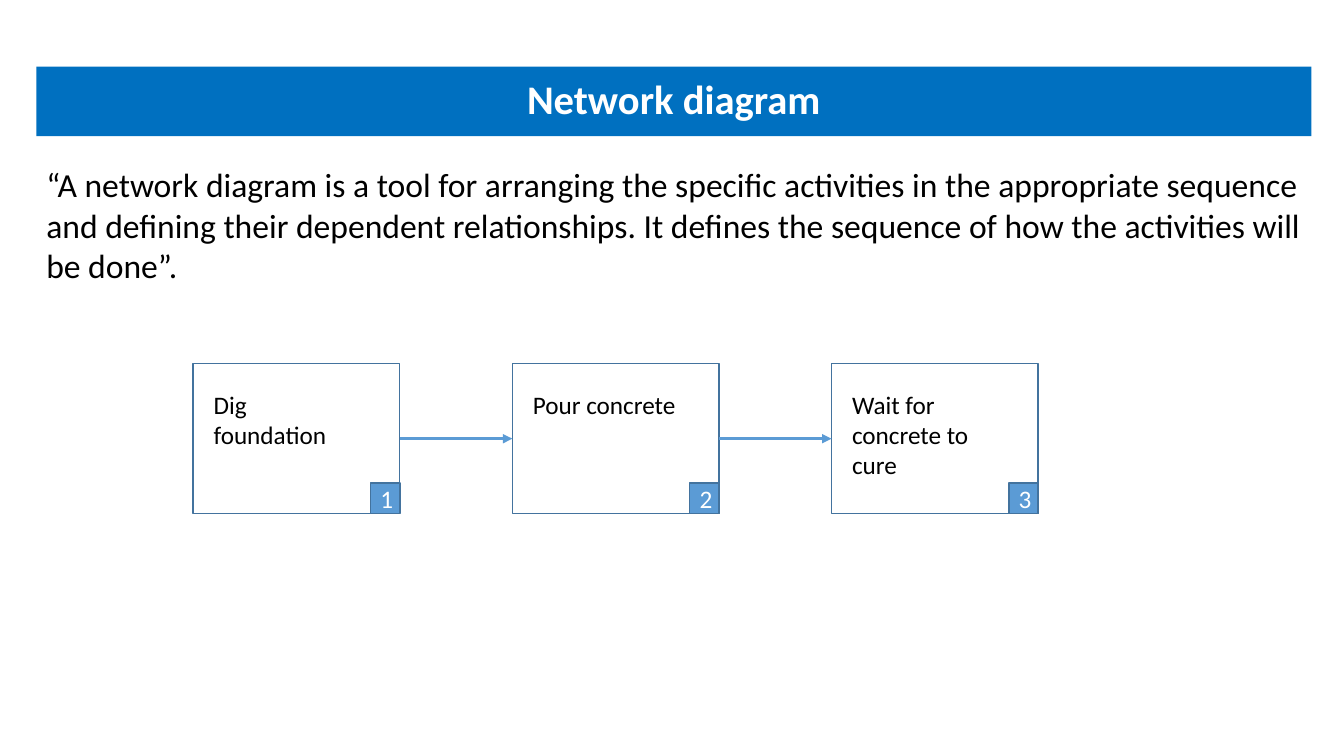
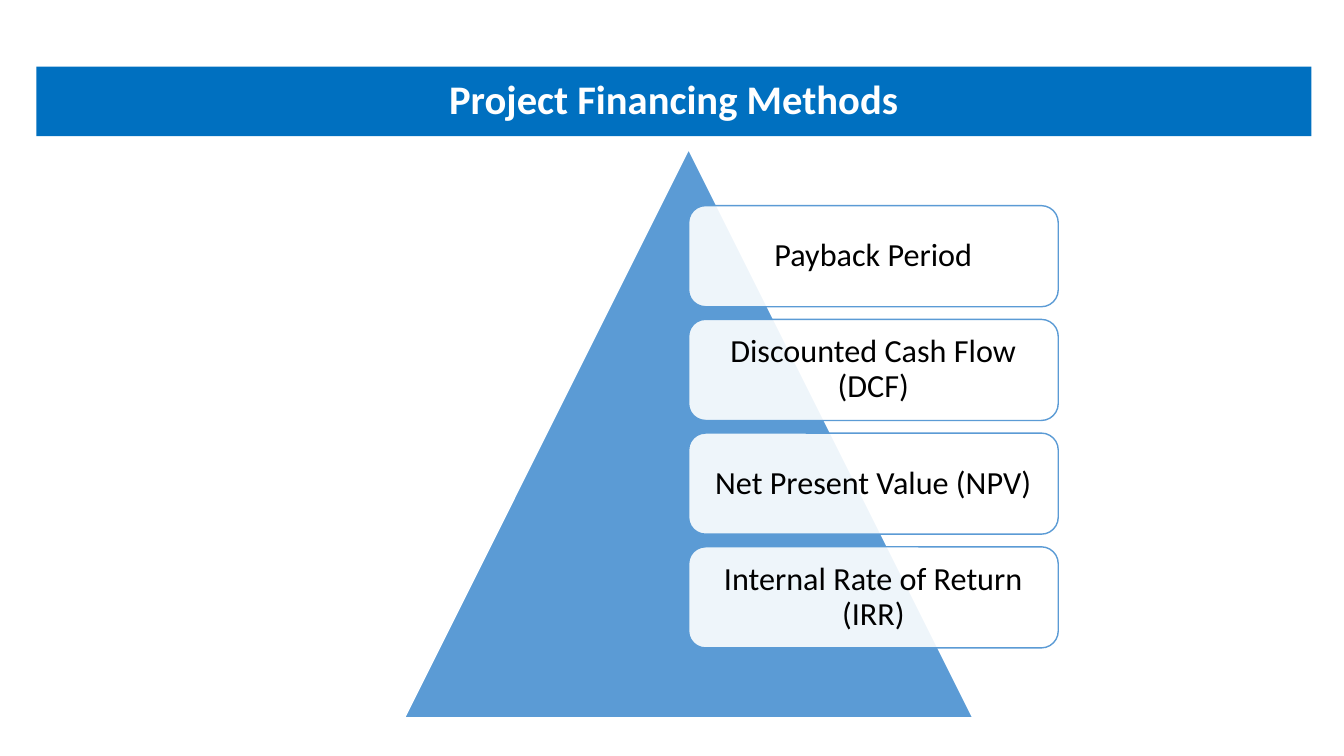
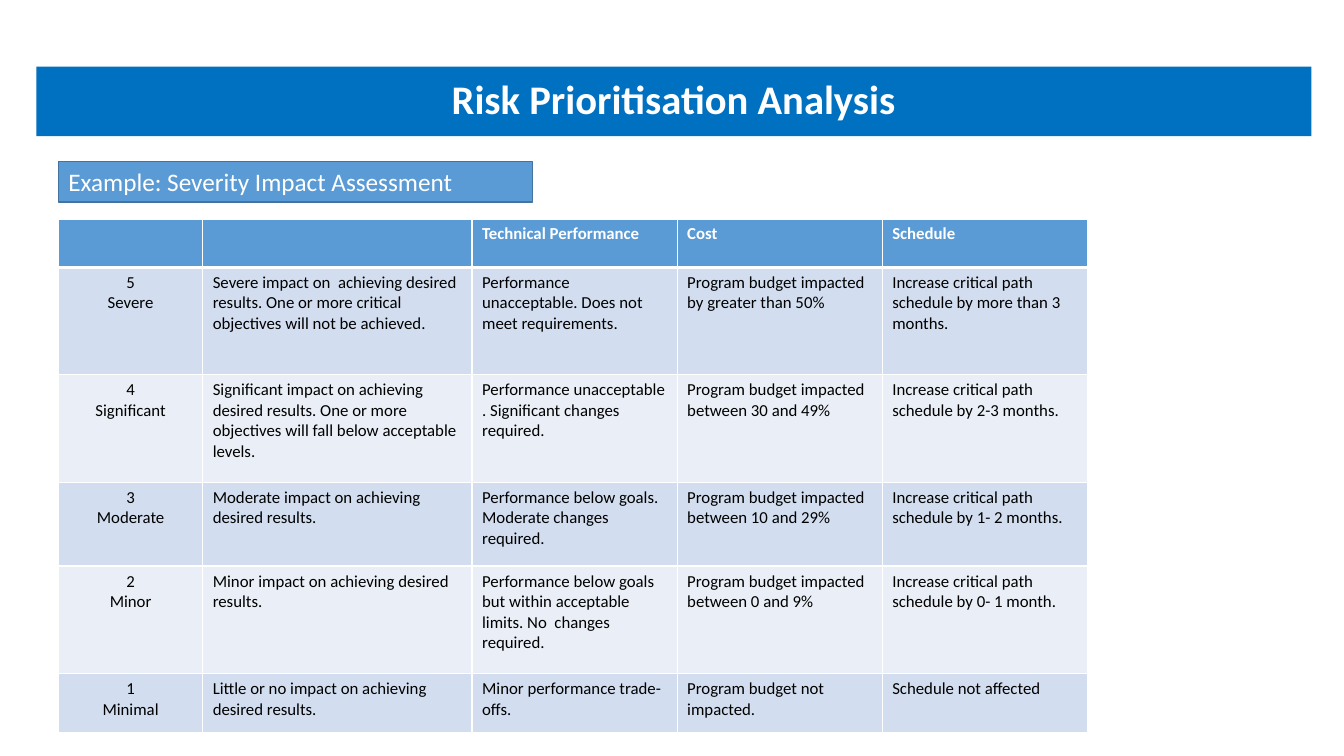
from lxml import etree
from pptx import Presentation
from pptx.dml.color import RGBColor
from pptx.enum.shapes import MSO_CONNECTOR, MSO_SHAPE
from pptx.enum.text import MSO_ANCHOR, PP_ALIGN
from pptx.oxml.ns import qn
from pptx.util import Pt

RECT, TRIANGLE = MSO_SHAPE.RECTANGLE, MSO_SHAPE.ISOSCELES_TRIANGLE
ROUNDED = MSO_SHAPE.ROUNDED_RECTANGLE
STRAIGHT = MSO_CONNECTOR.STRAIGHT
LEFT, CENTER = PP_ALIGN.LEFT, PP_ALIGN.CENTER
TOP, MIDDLE = MSO_ANCHOR.TOP, MSO_ANCHOR.MIDDLE
LEFT_SITE, RIGHT_SITE = 1, 3

FONT = "Calibri"
BAND, ACCENT, OUTLINE = "0070C0", "5B9BD5", "43739E"
WHITE, BLACK = "FFFFFF", "000000"
STRIPES = ["D2DEEF", "EAEFF7"]
BAND_LEFT, BAND_WIDTH = 26, 910.8

DEFINITION = (
    "“A network diagram is a tool for arranging the specific activities in the "
    "appropriate sequence and defining their dependent relationships. It defines "
    "the sequence of how the activities will be done”."
)
ACTIVITIES = ["Dig foundation", "Pour concrete", "Wait for concrete to cure"]
METHODS = [
    "Payback Period",
    "Discounted Cash Flow (DCF)",
    "Net Present Value (NPV)",
    "Internal Rate of Return (IRR)",
]
EXAMPLE = "Example: Severity Impact Assessment"
SEVERITY_ROWS = [
    ("", "", "Technical Performance", "Cost", "Schedule"),
    (
        "5\nSevere",
        "Severe impact on  achieving desired results. One or more critical objectives will not be achieved.",
        "Performance unacceptable. Does not meet requirements.",
        "Program budget impacted by greater than 50%",
        "Increase critical path schedule by more than 3 months.",
    ),
    (
        "4\nSignificant",
        "Significant impact on achieving desired results. One or more objectives will fall below acceptable levels.",
        "Performance unacceptable . Significant changes required.",
        "Program budget impacted between 30 and 49%",
        "Increase critical path schedule by 2-3 months.",
    ),
    (
        "3\nModerate",
        "Moderate impact on achieving desired results.",
        "Performance below goals. Moderate changes required.",
        "Program budget impacted between 10 and 29%",
        "Increase critical path schedule by 1- 2 months.",
    ),
    (
        "2\nMinor",
        "Minor impact on achieving desired results.",
        "Performance below goals but within acceptable limits. No  changes required.",
        "Program budget impacted between 0 and 9%",
        "Increase critical path schedule by 0- 1 month.",
    ),
    (
        "1\nMinimal",
        "Little or no impact on achieving desired results.",
        "Minor performance trade-offs.",
        "Program budget not impacted.",
        "Schedule not affected",
    ),
]
COLUMN_WIDTHS = [103, 192.4, 146.5, 146.5, 146.5]
ROW_HEIGHTS = [34.6, 76.8, 76.8, 59.8, 76.8, 42.3]


def rgb(value):
    return RGBColor.from_string(value)


def write(frame, text, size, color, align=LEFT, bold=False, spacing=None):
    frame.text = text
    for paragraph in frame.paragraphs:
        paragraph.alignment = align
        paragraph.line_spacing = spacing
        font = paragraph.font
        font.name, font.size, font.bold = FONT, Pt(size), bold
        font.color.rgb = rgb(color)


def add_box(slide, kind, left, top, width, height, fill=None, line=None, anchor=MIDDLE):
    box = slide.shapes.add_shape(kind, Pt(left), Pt(top), Pt(width), Pt(height))
    box.shadow.inherit = False
    if fill:
        box.fill.solid()
        box.fill.fore_color.rgb = rgb(fill)
    else:
        box.fill.background()
    if line:
        box.line.color.rgb = rgb(line)
        box.line.width = Pt(1)
    else:
        box.line.fill.background()
    box.text_frame.word_wrap = True
    box.text_frame.vertical_anchor = anchor
    return box


def add_text(slide, text, left, top, width, height, size):
    frame = slide.shapes.add_textbox(Pt(left), Pt(top), Pt(width), Pt(height)).text_frame
    frame.word_wrap = True
    write(frame, text, size, BLACK)


def add_arrow(slide, start, end):
    arrow = slide.shapes.add_connector(STRAIGHT, 0, 0, 0, 0)
    arrow.begin_connect(start, RIGHT_SITE)
    arrow.end_connect(end, LEFT_SITE)
    arrow.line.color.rgb = rgb(ACCENT)
    arrow.line.width = Pt(2.25)
    etree.SubElement(arrow.line._get_or_add_ln(), qn("a:tailEnd"), type="triangle")
    etree.SubElement(arrow._element.spPr, qn("a:effectLst"))


def set_borders(cell, top, bottom):
    properties = cell._tc.get_or_add_tcPr()
    widths = {"a:lnL": 1, "a:lnR": 1, "a:lnT": top, "a:lnB": bottom}
    for position, (edge, width) in enumerate(widths.items()):
        border = etree.Element(qn(edge), w=str(Pt(width)))
        fill = etree.SubElement(border, qn("a:solidFill"))
        etree.SubElement(fill, qn("a:srgbClr"), val=WHITE)
        properties.insert(position, border)


def add_slide(deck, title):
    slide = deck.slides.add_slide(deck.slide_layouts[6])
    band = add_box(slide, RECT, BAND_LEFT, 47.5, BAND_WIDTH, 49.7, BAND)
    write(band.text_frame, title, 29, WHITE, CENTER, True, 0.9)
    return slide


def build_network(deck):
    slide = add_slide(deck, "Network diagram")
    add_text(slide, DEFINITION, BAND_LEFT, 113.8, BAND_WIDTH, 94.3, 24)
    first_left, pitch, top = 138, 228, 259.7
    width, height = 147.6, 107.3
    badge_width, badge_height = 21, 22
    steps = []
    for index, activity in enumerate(ACTIVITIES):
        left = first_left + index * pitch
        steps.append(add_box(slide, RECT, left, top, width, height, line=OUTLINE))
        badge = add_box(slide, RECT, left + width - badge_width, top + height - badge_height,
                        badge_width, badge_height, ACCENT, OUTLINE)
        write(badge.text_frame, str(index + 1), 18, WHITE, CENTER)
        add_text(slide, activity, left + 7.5, top + 14.6, 118.8, 72.7, 18)
    for start, end in zip(steps, steps[1:]):
        add_arrow(slide, start, end)


def build_financing(deck):
    slide = add_slide(deck, "Project Financing Methods")
    add_box(slide, TRIANGLE, 288.9, 106.7, 406, 406, ACCENT, WHITE)
    height = 72.2
    pitch = height * 9 / 8
    for index, method in enumerate(METHODS):
        card = add_box(slide, ROUNDED, 491.9, 146.9 + index * pitch, 264, height, WHITE, ACCENT)
        color = card.fill._xPr.find(qn("a:solidFill"))[0]
        etree.SubElement(color, qn("a:alpha"), val="90000")
        write(card.text_frame, method, 23, BLACK, CENTER, spacing=0.9)


def build_risk(deck):
    slide = add_slide(deck, "Risk Prioritisation Analysis")
    left = 41.8
    table = slide.shapes.add_table(
        len(ROW_HEIGHTS), len(COLUMN_WIDTHS), Pt(left), Pt(156.4),
        Pt(sum(COLUMN_WIDTHS)), Pt(sum(ROW_HEIGHTS))).table
    for column, width in zip(table.columns, COLUMN_WIDTHS):
        column.width = Pt(width)
    for row, height in zip(table.rows, ROW_HEIGHTS):
        row.height = Pt(height)
    for r, texts in enumerate(SEVERITY_ROWS):
        header = r == 0
        for c, text in enumerate(texts):
            cell = table.cell(r, c)
            cell.fill.solid()
            cell.fill.fore_color.rgb = rgb(ACCENT if header else STRIPES[(r - 1) % 2])
            set_borders(cell, 3 if r == 1 else 1, 3 if header else 1)
            write(cell.text_frame, text, 12, WHITE if header else BLACK,
                  CENTER if c == 0 else LEFT, header)
    label = add_box(slide, RECT, left, 115.2, 338.4, 29.1, ACCENT, OUTLINE, TOP)
    write(label.text_frame, EXAMPLE, 18, WHITE)


def main():
    deck = Presentation()
    deck.slide_width, deck.slide_height = Pt(960), Pt(540)
    build_network(deck)
    build_financing(deck)
    build_risk(deck)
    deck.save("out.pptx")


if __name__ == "__main__":
    main()
